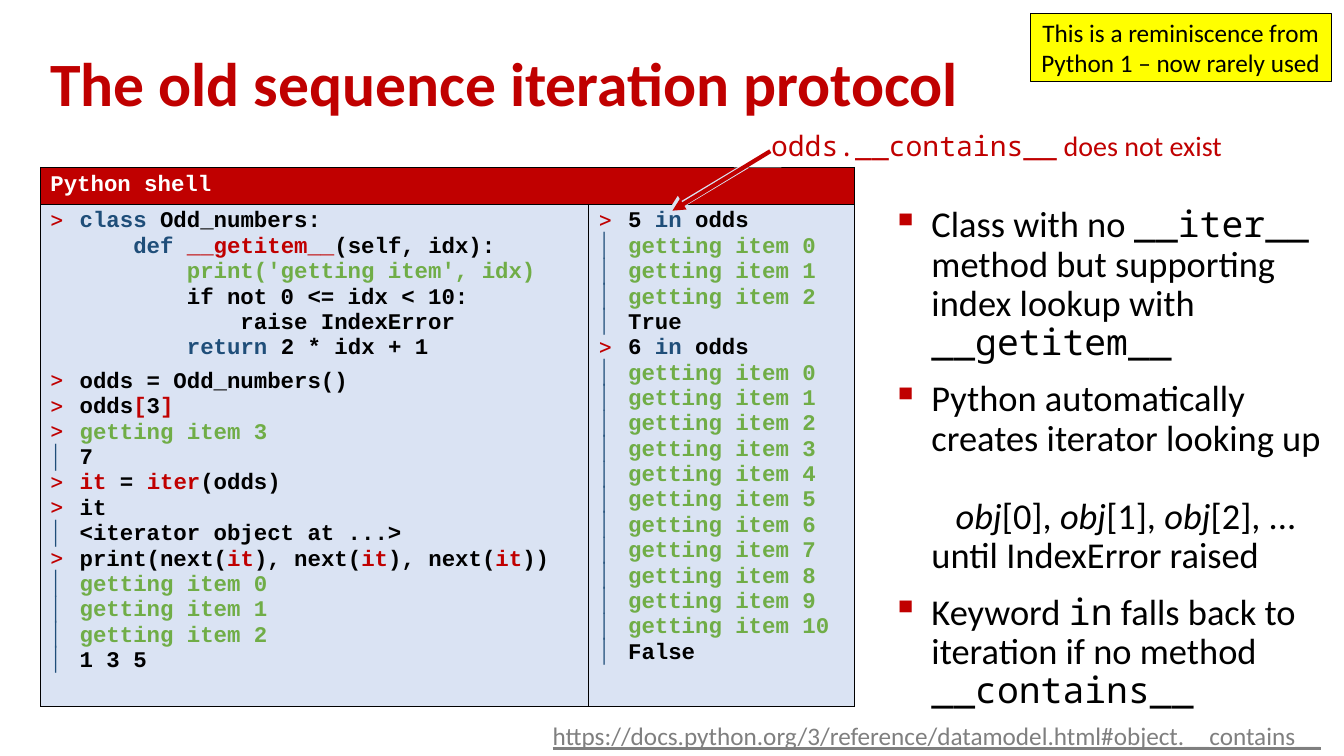
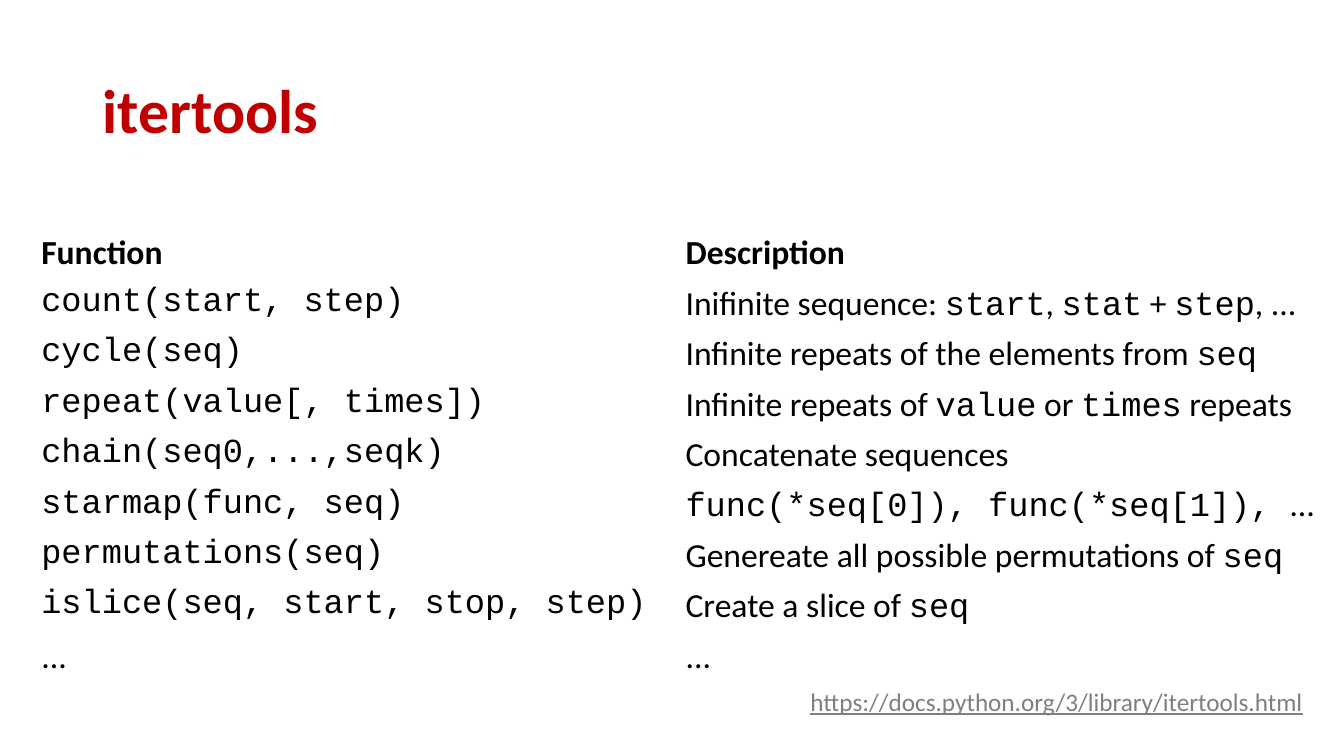
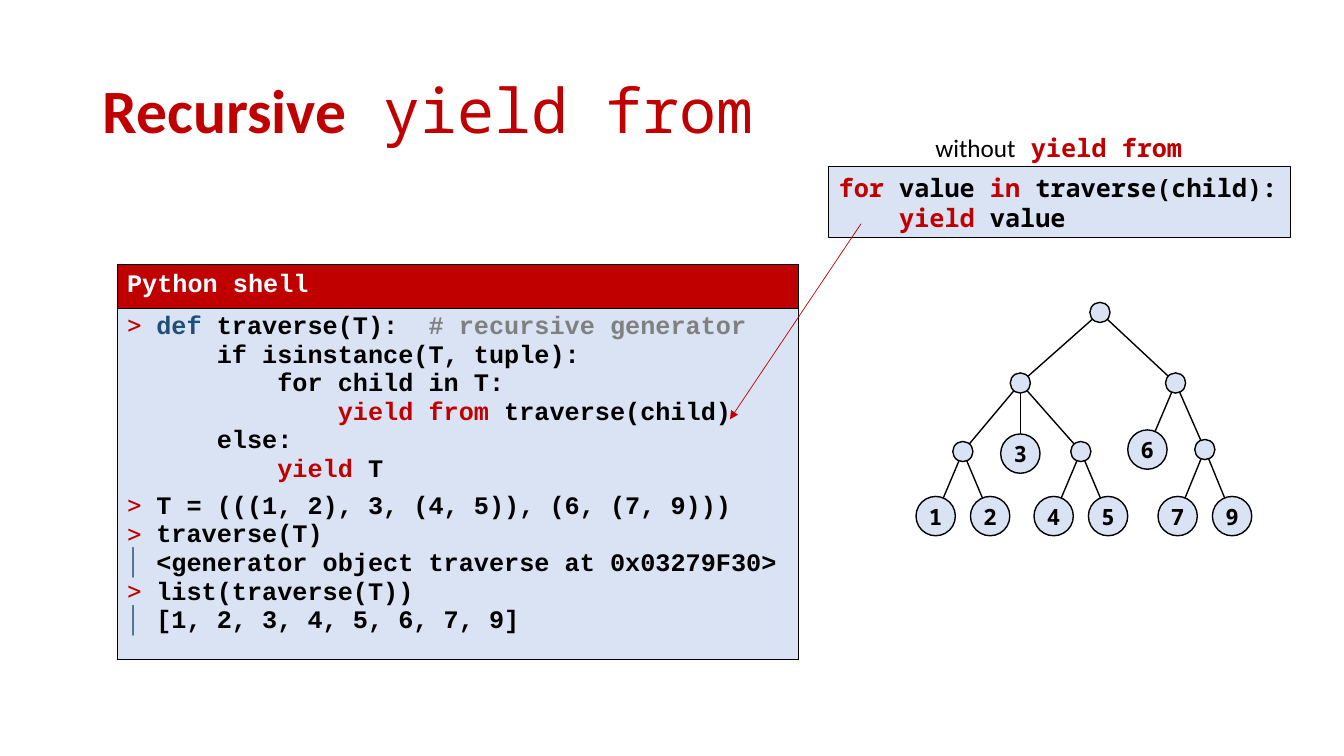
from copy import deepcopy

from lxml.etree import SubElement
from pptx import Presentation
from pptx.dml.color import RGBColor
from pptx.enum.shapes import MSO_CONNECTOR, MSO_SHAPE
from pptx.enum.text import MSO_ANCHOR, PP_ALIGN
from pptx.oxml.ns import qn
from pptx.util import Inches, Pt

# Colours and text styles
RED, BLUE, GREEN, GRAY = "C00000", "1F4E79", "70AD47", "7F7F7F"
BLACK, WHITE, PALE, YELLOW = "000000", "FFFFFF", "DAE3F3", "FFFF00"
rgb = RGBColor.from_string

MONO = {"name": "Noto Sans Mono"}
COURIER = {"name": "Courier New"}
ITALIC = {"italic": True}
KEY, HOT, OUT = {"color": BLUE}, {"color": RED}, {"color": GREEN}
TEXT = {"name": "Calibri", "size": Pt(18), "color": BLACK}
TITLE = {**TEXT, "size": Pt(44), "color": RED, "bold": True}
BODY = {**TEXT, "size": Pt(26)}
LINK = {**TEXT, "color": GRAY, "underline": True}
CODE = {**TEXT, **COURIER, "bold": True}

# Bullet: colour, hanging indent in inches, size in percent
BULLETS = {"▪": (RED, 0.39, 100), ">": (RED, 0.29, 100), "|": (BLUE, 0.29, 120)}


def write(tf, paras, base, **fmt):
    """Fill a text frame; a paragraph is (bullet, run, ...), a run is text or (text, style)."""
    for i, (bullet, *runs) in enumerate(paras):
        p = tf.paragraphs[0] if i == 0 else tf.add_paragraph()
        if bullet:
            color, indent, size = BULLETS[bullet]
            pPr = p._p.get_or_add_pPr()
            pPr.set("marL", str(Inches(indent)))
            pPr.set("indent", str(-Inches(indent)))
            SubElement(SubElement(pPr, qn("a:buClr")), qn("a:srgbClr"), val=color)
            SubElement(pPr, qn("a:buSzPct"), val=str(size * 1000))
            SubElement(pPr, qn("a:buChar"), char=bullet)
        for key, value in fmt.items():
            setattr(p, key, value)
        for run in runs:
            text, style = (run, {}) if isinstance(run, str) else run
            for n, part in enumerate(text.split("\n")):
                if n:
                    p.add_line_break()
                    p._p[-1].append(deepcopy(r._r.rPr))
                r = p.add_run()
                r.text = part
                for key, value in {**base, **style}.items():
                    if key == "color":
                        r.font.color.rgb = rgb(value)
                    else:
                        setattr(r.font, key, value)


def line(s, start, end, color, width, arrow=False):
    """Draw a straight line, with an arrowhead at its end if wanted."""
    x1, y1, x2, y2 = map(Inches, (*start, *end))
    cx = s.shapes.add_connector(MSO_CONNECTOR.STRAIGHT, x1, y1, x2, y2)
    cx.line.color.rgb = rgb(color)
    cx.line.width = Pt(width)
    if arrow:
        SubElement(cx.line._get_or_add_ln(), qn("a:tailEnd"), type="triangle")
    SubElement(cx._element.spPr, qn("a:effectLst"))


prs = Presentation()
prs.slide_width, prs.slide_height = Inches(13.33), Inches(7.5)

# Slides and titles
slides = []
for at, runs in [
    ((0.4, 0.13, 9.28, 1.45), ["The old sequence iteration protocol"]),
    ((0.92, 0.4, 11.5, 1.45), ["itertools"]),
    ((0.92, 0.4, 11.5, 1.45), ["Recursive", (" yield from", {**MONO, "bold": False})]),
]:
    s = prs.slides.add_slide(prs.slide_layouts[6])
    tf = s.shapes.add_textbox(*map(Inches, at)).text_frame
    tf.word_wrap = True
    tf.vertical_anchor = MSO_ANCHOR.MIDDLE
    write(tf, [("", *runs)], TITLE, line_spacing=0.9)
    slides.append(s)
protocol, itertools_slide, recursive = slides

# Shell sessions
class_code = [
    (">", ("class ", KEY), "Odd_numbers:\n    ", ("def ", KEY), ("__getitem__", HOT),
     "(self, idx):\n", ("        print('getting item', idx)\n", OUT),
     "        if not 0 <= idx < 10:\n            raise IndexError\n        ",
     ("return", KEY), " 2 * idx + 1"),
    (">", "odds = Odd_numbers()"),
    (">", "odds", ("[", HOT), "3", ("]", HOT)),
    (">", ("getting item 3", OUT)),
    ("|", "7"),
    (">", ("it", HOT), " = ", ("iter", HOT), "(odds)"),
    (">", "it"),
    ("|", "<iterator object at ...>"),
    (">", "print(next(", ("it", HOT), "), next(", ("it", HOT), "), next(", ("it", HOT), "))"),
    *[("|", (f"getting item {i}", OUT)) for i in range(3)],
    ("|", "1 3 5"),
]
lookups = []
for number, count, result in [(5, 3, "True"), (6, 11, "False")]:
    lookups += [(">", f"{number} ", ("in", KEY), " odds"),
                *[("|", (f"getting item {i}", OUT)) for i in range(count)],
                ("|", result)]
traverse_code = [
    (">", ("def", KEY), " traverse(T):  ", ("# recursive generator", {"color": "808080"})),
    ("", "    if isinstance(T, tuple):"),
    ("", "        for child in T:"),
    ("", "            ", ("yield from ", HOT), "traverse(child)"),
    ("", "    else:"),
    ("", "        ", ("yield", HOT), " T"),
    (">", "T = (((1, 2), 3, (4, 5)), (6, (7, 9)))"),
    (">", "traverse(T)"),
    ("|", "<generator object traverse at 0x03279F30>"),
    (">", "list(traverse(T))"),
    ("|", "[1, 2, 3, 4, 5, 6, 7, 9]"),
]
for s, left, top, widths, heights, size, sessions, gap_after in [
    (protocol, 0.4, 1.66, (5.44, 2.63), (0.36, 4.71), 16, (class_code, lookups), 0),
    (recursive, 1.16, 2.62, (6.76,), (0.44, 3.3), 18, (traverse_code,), 5),
]:
    table = s.shapes.add_table(2, len(widths), *map(Inches, (left, top, sum(widths), sum(heights)))).table
    table.first_row = table.horz_banding = False
    for column, width in zip(table.columns, widths):
        column.width = Inches(width)
    for row, height in zip(table.rows, heights):
        row.height = Inches(height)
    for cell in table.iter_cells():
        for side in ("a:lnL", "a:lnR", "a:lnT", "a:lnB"):
            ln = SubElement(cell._tc.get_or_add_tcPr(), qn(side), w=str(Pt(0.5)))
            SubElement(SubElement(ln, qn("a:solidFill")), qn("a:srgbClr"), val=BLACK)
        cell.fill.solid()
        cell.fill.fore_color.rgb = rgb(PALE)
    header = table.cell(0, 0)
    if len(widths) > 1:
        header.merge(table.cell(0, len(widths) - 1))
    header.fill.fore_color.rgb = rgb(RED)
    header.vertical_anchor = MSO_ANCHOR.MIDDLE
    code = {**CODE, "size": Pt(size)}
    write(header.text_frame, [("", "Python shell")], {**code, "color": WHITE})
    for col, session in enumerate(sessions):
        tf = table.cell(1, col).text_frame
        write(tf, session, code)
        for p, (bullet, *_) in zip(tf.paragraphs, session):
            if not bullet:
                p._p.get_or_add_pPr().set("marL", str(Inches(0.29)))
    table.cell(1, 0).text_frame.paragraphs[gap_after].space_after = Pt(6)

# Table of itertools functions
BOLD = {"bold": True}
functions = [
    ([("Function", BOLD)], [("Description", BOLD)]),
    ([("count(start, step)", COURIER)],
     ["Inifinite sequence: ", ("start", COURIER), ", ", ("stat", COURIER), " + ",
      ("step", COURIER), ", ..."]),
    ([("cycle(seq)", COURIER)], ["Infinite repeats of the elements from ", ("seq", COURIER)]),
    ([("repeat(value[, times])", COURIER)],
     ["Infinite repeats of ", ("value", COURIER), " or ", ("times", COURIER), " repeats"]),
    ([("chain(seq0,...,seqk)", COURIER)], ["Concatenate sequences"]),
    ([("starmap(func, seq)", COURIER)], [("func(*seq[0]), func(*seq[1]), ", COURIER), "…"]),
    ([("permutations(seq)", COURIER)],
     ["Genereate all possible permutations of ", ("seq", COURIER)]),
    ([("islice(seq, start, stop, step)", COURIER)], ["Create a slice of ", ("seq", COURIER)]),
    (["..."], ["..."]),
]
table = itertools_slide.shapes.add_table(
    len(functions), 2, *map(Inches, (0.31, 2.26, 12.98, 0.5 * len(functions)))).table
table.first_row = table.horz_banding = False
for column, width in zip(table.columns, (6.39, 6.59)):
    column.width = Inches(width)
for i, row in enumerate(functions):
    for j, runs in enumerate(row):
        cell = table.cell(i, j)
        cell.fill.background()
        write(cell.text_frame, [("", *runs)], {**TEXT, "size": Pt(24)})

# Tree: node centre, label, parent
tree = {
    "root": (10.91, 3.1, "", None),
    "left": (10.12, 3.8, "", "root"),
    "right": (11.66, 3.8, "", "root"),
    "pair 1 2": (9.55, 4.48, "", "left"),
    "leaf 3": (10.12, 4.5, "3", "left"),
    "pair 4 5": (10.72, 4.48, "", "left"),
    "leaf 6": (11.38, 4.46, "6", "right"),
    "pair 7 9": (11.95, 4.46, "", "right"),
}
for pair in ("pair 1 2", "pair 4 5", "pair 7 9"):
    for label, dx in zip(pair.split()[1:], (-0.27, 0.27)):
        tree[f"leaf {label}"] = (tree[pair][0] + dx, 5.12, label, pair)
nodes = []
for x, y, label, parent in tree.values():
    if parent:
        line(recursive, (x, y), tree[parent][:2], BLACK, 1)
    d = 0.39 if label else 0.2
    nodes.append((recursive, MSO_SHAPE.OVAL, (x - d / 2, y - d / 2, d, d), PALE, 1,
                  [("", label)] if label else [],
                  {**TEXT, **MONO, "size": Pt(16), "bold": True},
                  {"alignment": PP_ALIGN.CENTER}))

# Pale edge of the arrow across the shell header
line(protocol, (7.41, 1.64), (6.61, 2.12), PALE, 4.5, arrow=True)

# Text boxes and shapes: slide, shape, place, fill, outline, text, style, paragraph format
points = [
    ("▪", "Class with no ", ("__iter__", MONO),
     " method but supporting index lookup with ", ("__getitem__", MONO)),
    ("▪", "Python automatically creates iterator looking up"),
    ("", ("obj", ITALIC), "[0], ", ("obj", ITALIC), "[1], ", ("obj", ITALIC), "[2], ..."),
    ("", "until IndexError raised"),
    ("▪", "Keyword ", ("in", MONO), " falls back to iteration if no method ",
     ("__contains__", MONO)),
]
loop_code = [
    ("", ("for ", HOT), "value ", ("in ", HOT), "traverse(child):"),
    ("", "    ", ("yield ", HOT), "value"),
]
center, right = {"alignment": PP_ALIGN.CENTER}, {"alignment": PP_ALIGN.RIGHT}
boxes = [
    (protocol, None, (5.13, 7.1, 8.07, 0.4), None, 0,
     [("", "https://docs.python.org/3/reference/datamodel.html#object.__contains__")], LINK, right),
    (protocol, MSO_SHAPE.RECTANGLE, (10.22, 0.13, 2.98, 0.68), YELLOW, 0.5,
     [("", "This is a reminiscence from Python 1 – now rarely used")], TEXT, center),
    (protocol, MSO_SHAPE.RECTANGLE, (7.28, 1.42, 0.47, 0.24), WHITE, 0, [], TEXT, {}),
    (protocol, None, (7.55, 1.23, 5.34, 0.44), None, 0,
     [("", ("odds.__contains__", MONO), " does not exist")],
     {**TEXT, "size": Pt(20), "color": RED}, {}),
    (itertools_slide, None, (7.94, 6.76, 5.14, 0.4), None, 0,
     [("", "https://docs.python.org/3/library/itertools.html")], LINK, {}),
    *nodes,
    (recursive, MSO_SHAPE.RECTANGLE, (8.22, 1.65, 4.58, 0.71), PALE, 0.75,
     loop_code, {**TEXT, **MONO, "bold": True}, {}),
    (recursive, None, (8.44, 1.26, 4.12, 0.4), None, 0,
     [("", "without", (" yield from", {**MONO, **HOT, **BOLD}))], TEXT, center),
    (protocol, None, (8.75, 2, 4.49, 4.76), None, 0, points, BODY, {"line_spacing": 0.9}),
]
for s, shape, at, fill, outline, paras, base, fmt in boxes:
    place = map(Inches, at)
    if shape is None:
        sp = s.shapes.add_textbox(*place)
    else:
        sp = s.shapes.add_shape(shape, *place)
        sp.shadow.inherit = False
        sp.fill.solid()
        sp.fill.fore_color.rgb = rgb(fill)
        if outline:
            sp.line.color.rgb = rgb(BLACK)
            sp.line.width = Pt(outline)
        else:
            sp.line.fill.background()
    tf = sp.text_frame
    tf.word_wrap = shape != MSO_SHAPE.OVAL
    tf.vertical_anchor = MSO_ANCHOR.MIDDLE if shape else MSO_ANCHOR.TOP
    if shape == MSO_SHAPE.OVAL:
        tf.margin_left = tf.margin_right = tf.margin_top = tf.margin_bottom = 0
    write(tf, paras, base, **{"alignment": PP_ALIGN.LEFT, **fmt})

# Spacing of the bullet points: indent of plain lines, space before and after
for p, (indent, before, after) in zip(tf.paragraphs, [
    (None, 0, 12), (None, 0, 0), (0.63, 28, 0), (0.39, 0, 12), (None, 0, 0),
]):
    p.space_before, p.space_after = Pt(before), Pt(after)
    if indent:
        p._p.get_or_add_pPr().set("marL", str(Inches(indent)))

# Arrows to the code
line(protocol, (7.64, 1.5), (6.67, 2.09), RED, 3, arrow=True)
line(recursive, (8.54, 2.22), (7.24, 4.16), RED, 0.5, arrow=True)

prs.save("out.pptx")
